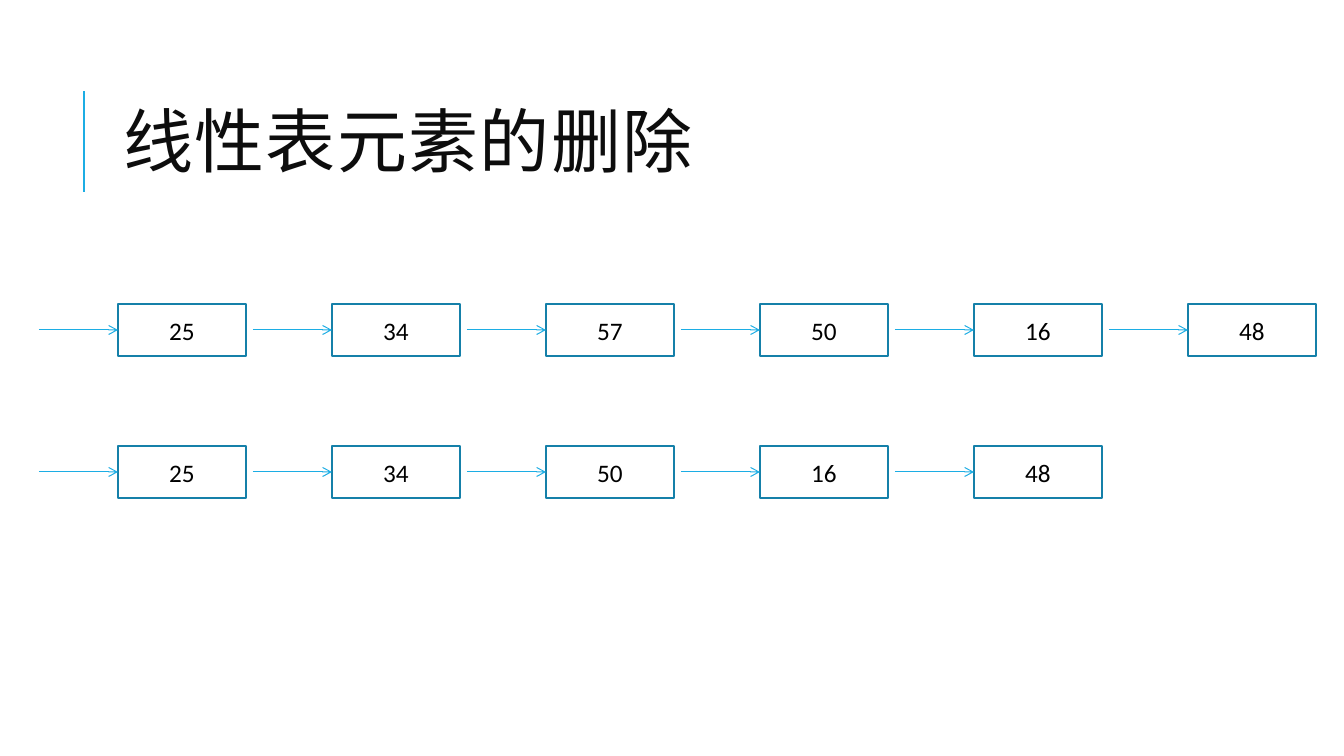
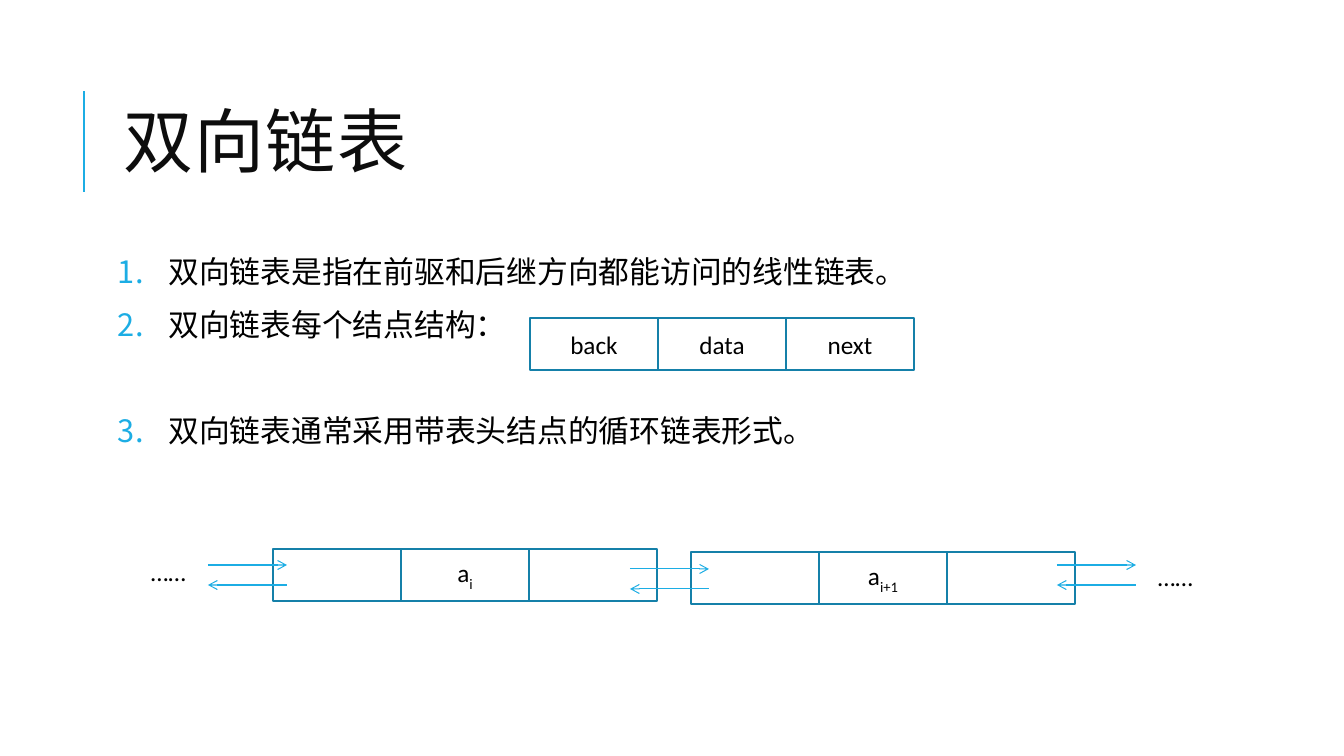
"""Build two slides on deleting from a linear list and on doubly linked lists."""
import dataclasses
import typing

import lxml.etree
import pptx
import pptx.dml.color
import pptx.enum.lang
import pptx.enum.shapes
import pptx.enum.text
import pptx.oxml.ns
import pptx.presentation
import pptx.shapes.autoshape
import pptx.shapes.connector
import pptx.shapes.shapetree
import pptx.slide
import pptx.text.text
import pptx.util

EMU_PER_PIXEL = 914400 / 100.8
TITLE_ONLY = 5
CELL_WIDTH, CELL_HEIGHT = 128, 52
ARROW_LENGTH = 79
CHAIN_LEFT, CHAIN_PITCH = 118, 214
PAIR_GAP = 20


@dataclasses.dataclass(frozen=True)
class Theme:
    """Colours, fonts and sizes in points shared by the slides."""
    accent: str = "1CADE4"
    border: str = "1580A9"
    title_ink: str = "0D0D0D"
    ink: str = "000000"
    title_font: str = "Cabin"
    body_font: str = "Calibri"
    title_size: float = 50
    list_size: float = 22
    label_size: float = 18
    rule_width: float = 1.5
    border_width: float = 1.25
    arrow_width: float = 0.75


class Point(typing.NamedTuple):
    """A place in pixels."""
    x: int
    y: int


class Label(typing.NamedTuple):
    """Text of a cell, with an optional subscript."""
    text: str = ""
    subscript: str = ""


class Chain(typing.NamedTuple):
    """A singly linked row of values."""
    top: int
    values: tuple[str, ...]


class Node(typing.NamedTuple):
    """A record made of adjoining cells."""
    corner: Point
    labels: tuple[Label, ...]


class Item(typing.NamedTuple):
    """A numbered list item and the space before it in points."""
    text: str
    space_before: float


THEME = Theme()
CHAINS = (
    Chain(304, ("25", "34", "57", "50", "16", "48")),
    Chain(446, ("25", "34", "50", "16", "48")),
)
ITEMS = (
    Item("双向链表是指在前驱和后继方向都能访问的线性链表。", 12),
    Item("双向链表每个结点结构:".replace(":", "："), 12),
    Item("双向链表通常采用带表头结点的循环链表形式。", 50),
)
STRUCTURE = Node(Point(530, 318), (Label("back"), Label("data"), Label("next")))
LINKED_NODES = (
    Node(Point(273, 549), (Label(), Label("a", "i"), Label())),
    Node(Point(691, 552), (Label(), Label("a", "i+1"), Label())),
)
ARROW_PAIRS = (Point(208, 565), Point(630, 569), Point(1057, 565))
ELLIPSES = (Point(141, 551), Point(1148, 556))


def px(pixels: float) -> pptx.util.Emu:
    """Turn pixels into EMU."""
    return pptx.util.Emu(round(pixels * EMU_PER_PIXEL))


def color(code: str) -> pptx.dml.color.RGBColor:
    """Turn a hex code into a colour."""
    return pptx.dml.color.RGBColor.from_string(code)


def add_xml(parent: typing.Any, tag: str, **attributes: str) -> None:
    """Append a drawing element to its parent."""
    child = lxml.etree.SubElement(parent, pptx.oxml.ns.qn(tag))
    for name, value in attributes.items():
        child.set(name, value)


def style_spans(para: pptx.text.text._Paragraph, size: float,
                font: str = THEME.body_font, ink: str = THEME.ink) -> None:
    """Give every run of a paragraph its font."""
    for span in para.runs:
        span.font.name = font
        span.font.size = pptx.util.Pt(size)
        span.font.color.rgb = color(ink)
        span.font.language_id = pptx.enum.lang.MSO_LANGUAGE_ID.SIMPLIFIED_CHINESE


def draw_line(shapes: pptx.shapes.shapetree._BaseGroupShapes, start: Point, end: Point,
              width: float) -> pptx.shapes.connector.Connector:
    """Draw a plain accent line."""
    line = shapes.add_connector(pptx.enum.shapes.MSO_CONNECTOR.STRAIGHT,
                                px(start.x), px(start.y), px(end.x), px(end.y))
    line.line.color.rgb = color(THEME.accent)
    line.line.width = pptx.util.Pt(width)
    add_xml(line.element.spPr, "a:effectLst")
    return line


def draw_arrow(shapes: pptx.shapes.shapetree._BaseGroupShapes, start: Point,
               end: Point) -> None:
    """Draw a thin arrow from start to end."""
    arrow = draw_line(shapes, start, end, THEME.arrow_width)
    outline = arrow.element.spPr.find(pptx.oxml.ns.qn("a:ln"))
    add_xml(outline, "a:tailEnd", type="arrow")


def draw_cell(shapes: pptx.shapes.shapetree._BaseGroupShapes, corner: Point,
              label: Label) -> None:
    """Draw an outlined cell with a centred label."""
    box = shapes.add_shape(pptx.enum.shapes.MSO_SHAPE.RECTANGLE, px(corner.x),
                           px(corner.y), px(CELL_WIDTH), px(CELL_HEIGHT))
    box.shadow.inherit = False
    box.fill.background()
    box.line.color.rgb = color(THEME.border)
    box.line.width = pptx.util.Pt(THEME.border_width)
    if not label.text:
        return
    box.text_frame.vertical_anchor = pptx.enum.text.MSO_ANCHOR.MIDDLE
    para = box.text_frame.paragraphs[0]
    para.text = label.text
    para.alignment = pptx.enum.text.PP_ALIGN.CENTER
    if label.subscript:
        span = para.add_run()
        span.text = label.subscript
        span.font._element.set("baseline", "-25000")
    style_spans(para, THEME.label_size)


def draw_chain(page: pptx.slide.Slide, chain: Chain) -> None:
    """Draw a row of cells, each with an arrow leading into it."""
    shapes = page.shapes.add_group_shape().shapes
    middle = chain.top + CELL_HEIGHT // 2
    for index, value in enumerate(chain.values):
        left = CHAIN_LEFT + index * CHAIN_PITCH
        draw_cell(shapes, Point(left, chain.top), Label(value))
        draw_arrow(shapes, Point(left - ARROW_LENGTH, middle), Point(left, middle))


def draw_node(shapes: pptx.shapes.shapetree._BaseGroupShapes, node: Node) -> None:
    """Draw the adjoining cells of one record."""
    for index, label in enumerate(node.labels):
        corner = Point(node.corner.x + index * CELL_WIDTH, node.corner.y)
        draw_cell(shapes, corner, label)


def draw_arrow_pair(shapes: pptx.shapes.shapetree._BaseGroupShapes,
                    corner: Point) -> None:
    """Draw a forward arrow above a backward one."""
    right, lower = corner.x + ARROW_LENGTH, corner.y + PAIR_GAP
    draw_arrow(shapes, corner, Point(right, corner.y))
    draw_arrow(shapes, Point(right, lower), Point(corner.x, lower))


def draw_ellipsis(shapes: pptx.shapes.shapetree._BaseGroupShapes,
                  corner: Point) -> None:
    """Mark that the list goes on."""
    box = shapes.add_textbox(px(corner.x), px(corner.y), px(72), px(40))
    box.text_frame.word_wrap = False
    box.text_frame.text = "……"
    style_spans(box.text_frame.paragraphs[0], THEME.label_size)


def draw_list(page: pptx.slide.Slide, items: tuple[Item, ...]) -> None:
    """Write the numbered list."""
    box = page.shapes.add_textbox(px(113), px(252), px(1072), px(444))
    frame = box.text_frame
    frame.word_wrap = True
    frame.margin_left = frame.margin_right = px(5)
    frame.margin_top = frame.margin_bottom = px(5)
    frame.text = "\n".join(item.text for item in items)
    indent = pptx.util.Inches(0.5)
    for para, item in zip(frame.paragraphs, items):
        para.line_spacing = 0.9
        para.space_before = pptx.util.Pt(item.space_before)
        para.space_after = pptx.util.Pt(2)
        style_spans(para, THEME.list_size)
        properties = para._p.get_or_add_pPr()
        properties.set("marL", str(indent))
        properties.set("indent", str(-indent))
        add_xml(properties, "a:buClr")
        add_xml(properties[-1], "a:srgbClr", val=THEME.accent)
        add_xml(properties, "a:buAutoNum", type="arabicPeriod")


def add_page(deck: pptx.presentation.Presentation, heading: str) -> pptx.slide.Slide:
    """Add a slide with the accent rule and its title."""
    page = deck.slides.add_slide(deck.slide_layouts[TITLE_ONLY])
    draw_line(page.shapes, Point(84, 192), Point(84, 91), THEME.rule_width)
    title = page.shapes.title
    title.left, title.top, title.width, title.height = px(113), px(65), px(1072), px(165)
    frame = title.text_frame
    frame.text = heading
    frame.word_wrap = True
    frame.auto_size = pptx.enum.text.MSO_AUTO_SIZE.NONE
    frame.vertical_anchor = pptx.enum.text.MSO_ANCHOR.MIDDLE
    para = frame.paragraphs[0]
    para.alignment = pptx.enum.text.PP_ALIGN.LEFT
    para.line_spacing = 0.8
    style_spans(para, THEME.title_size, THEME.title_font, THEME.title_ink)
    para.runs[0].font._element.set("spc", "100")
    return page


def build_deletion(deck: pptx.presentation.Presentation) -> None:
    """Show a list before and after a deletion."""
    page = add_page(deck, "线性表元素的删除")
    for chain in CHAINS:
        draw_chain(page, chain)


def build_double_list(deck: pptx.presentation.Presentation) -> None:
    """Explain the doubly linked list."""
    page = add_page(deck, "双向链表")
    draw_list(page, ITEMS)
    draw_node(page.shapes.add_group_shape().shapes, STRUCTURE)
    shapes = page.shapes.add_group_shape().shapes
    for node in LINKED_NODES:
        draw_node(shapes, node)
    for corner in ARROW_PAIRS:
        draw_arrow_pair(shapes, corner)
    for corner in ELLIPSES:
        draw_ellipsis(shapes, corner)


def main() -> None:
    """Build and save the deck."""
    deck = pptx.Presentation()
    deck.slide_width, deck.slide_height = px(1344), px(756)
    build_deletion(deck)
    build_double_list(deck)
    deck.save("out.pptx")


main()
